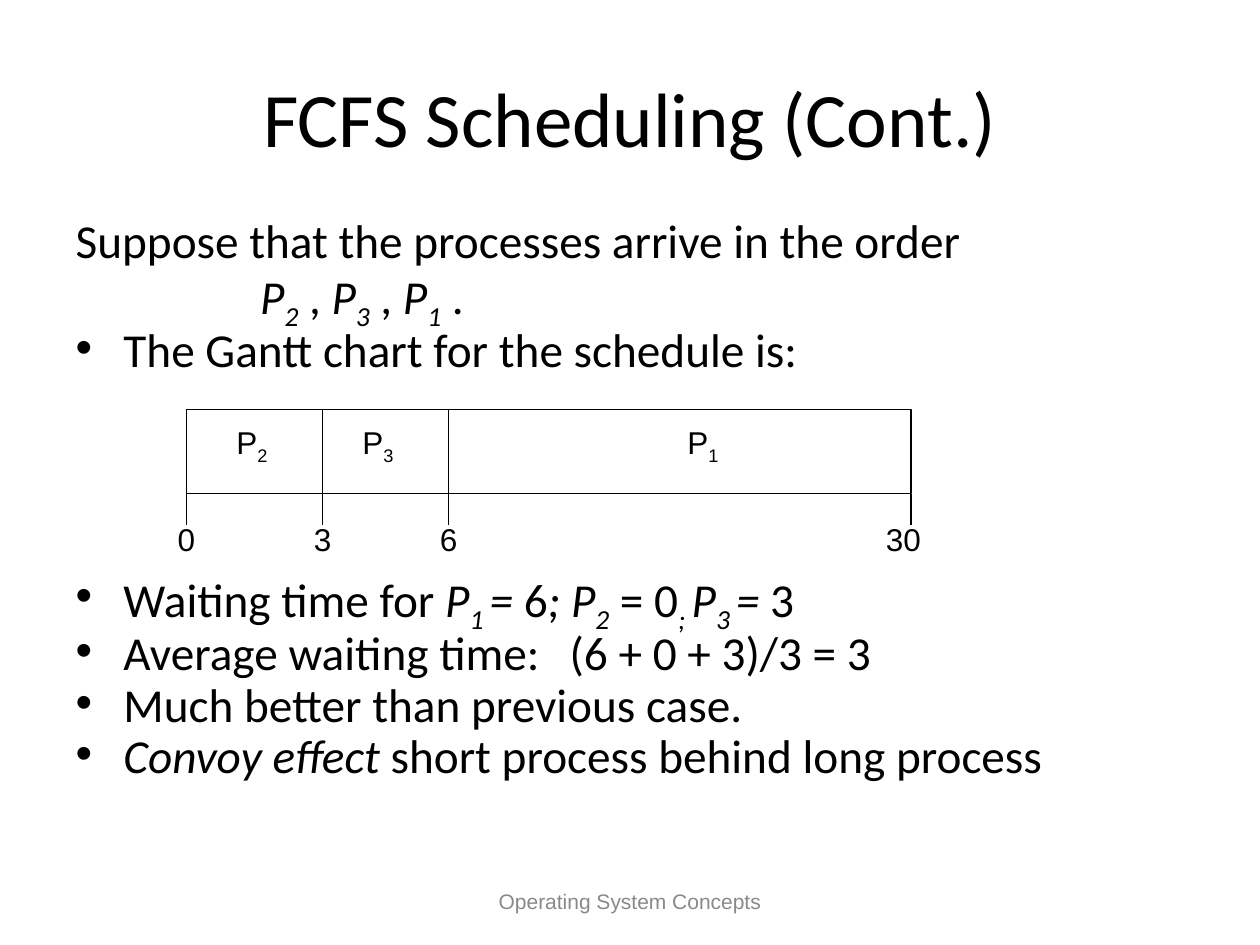
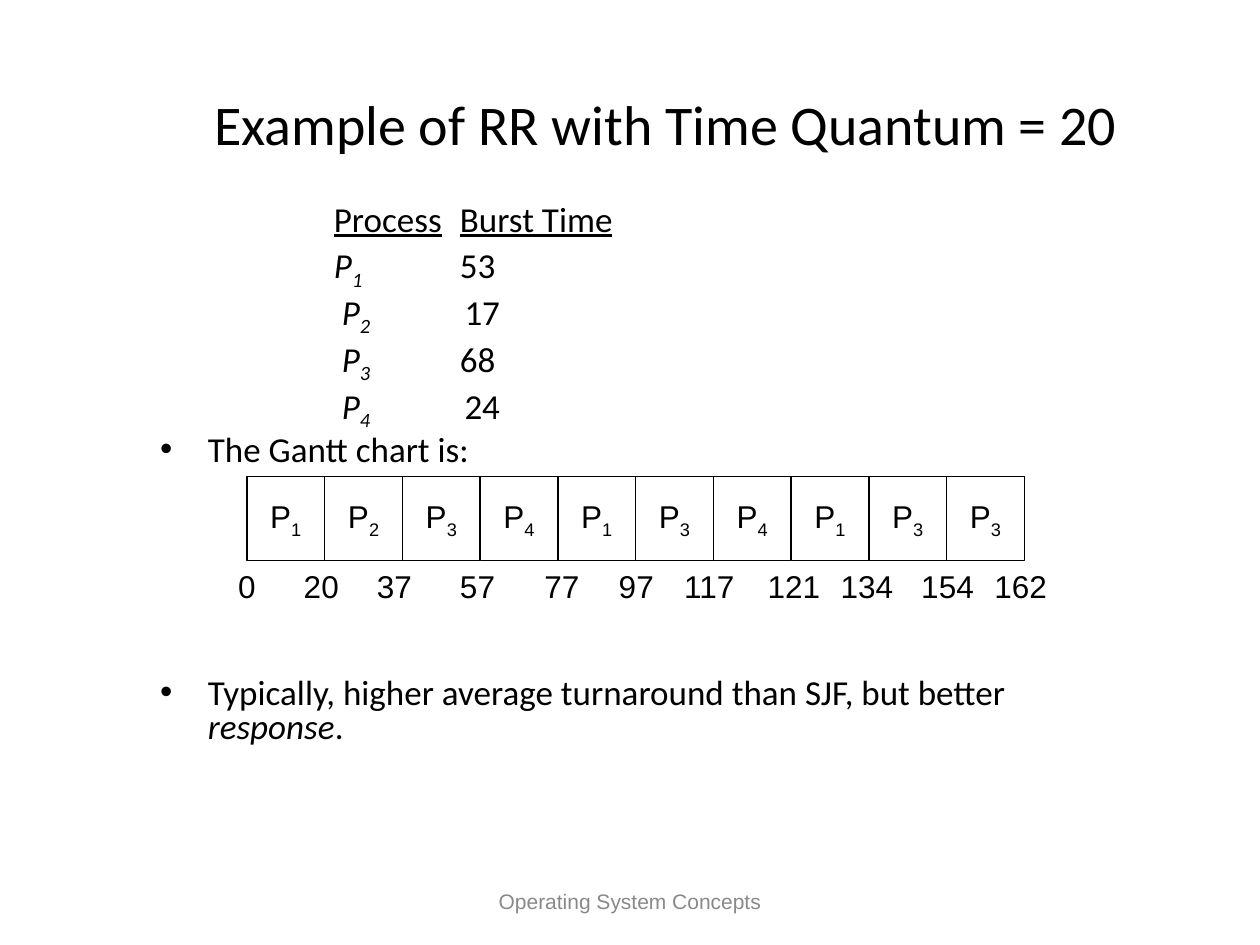
from lxml import etree
from pptx import Presentation
from pptx.dml.color import RGBColor
from pptx.enum import shapes, text
from pptx.oxml import ns
from pptx.util import Inches, Pt

COLORS = {"ink": "000000", "paper": "FFFFFF", "footer": "898989"}
HEAD_FONT, LABEL_FONT = "Calibri", "Arial"
FOOTER = "Operating System Concepts"
INDENT = 0.38
COLUMN_TAB = 1
BAR_HEIGHT = 0.67

# Runs are plain strings or (text, style): i italic, s subscript, u underlined.
# Paragraphs are (bulleted, space before, tab step, runs).
FCFS = {
    "title": "FCFS Scheduling (Cont.)",
    "title_at": (0.5, 0.3, 9, 1.25),
    "title_size": 44,
    "body_at": (0.5, 1.75, 9, 4.95),
    "body_size": 27,
    "spacing": 0.7,
    "body": [
        (False, 0, COLUMN_TAB,
         ["Suppose that the processes arrive in the order"]),
        (False, 6.8, COLUMN_TAB, [
            "\t\t ", ("P", "i"), ("2", "is"), " , ", ("P", "i"), ("3", "is"),
            " , ", ("P", "i"), ("1", "is"), " ."]),
        (True, 6.8, COLUMN_TAB, ["The Gantt chart for the schedule is:"]),
        (True, 118, COLUMN_TAB, [
            "Waiting time for ", ("P", "i"), ("1 ", "is"), ("=", "i"), " 6",
            ("; P", "i"), ("2", "is"), " = 0", ("; ", "is"), ("P", "i"),
            ("3 ", "is"), ("= ", "i"), "3"]),
        (True, 6.8, 0.49, ["Average waiting time:\t(6 + 0 + 3)/3 = 3"]),
        (True, 6.8, COLUMN_TAB, ["Much better than previous case."]),
        (True, 6.8, COLUMN_TAB, [("Convoy effect", "i"),
                                 " short process behind long process"]),
    ],
}
FCFS_BAR_TOP = 3.25
FCFS_EDGES = [(1.48, "0"), (2.56, "3"), (3.56, "6"), (7.23, "30")]
FCFS_PROCESSES = [(2.0, "2"), (3.0, "3"), (5.58, "1")]
LAST_TIME_SHIFT = 0.06
TICK = 0.25

RR = {
    "title": "Example of RR with Time Quantum = 20",
    "title_at": (0.88, 0.52, 8.81, 0.92),
    "title_size": 32,
    "body_at": (1.17, 1.58, 7.69, 4.5),
    "body_size": 20,
    "spacing": 0.8,
    "body": [
        (False, 0, COLUMN_TAB, ["\t\t", ("Process", "u"), "\t",
                                ("Burst Time", "u")]),
        (False, 5, COLUMN_TAB, [("\t\tP", "i"), ("1\t", "is"), "53"]),
        (False, 5, COLUMN_TAB, ["\t\t ", ("P", "i"), ("2\t ", "is"), "17"]),
        (False, 5, COLUMN_TAB, ["\t\t ", ("P", "i"), ("3\t", "is"), "68"]),
        (False, 5, COLUMN_TAB, ["\t\t ", ("P", "i"), ("4\t ", "is"), "24"]),
        (True, 5, COLUMN_TAB, ["The Gantt chart is:"]),
        (True, 120, COLUMN_TAB, [
            "Typically, higher average turnaround than SJF, but better ",
            ("response", "i"), "."]),
    ],
}
RR_BAR = (1.96, 3.78, 6.17)
RR_PROCESSES = "1234134133"
RR_TIMES = [(1.96, "0"), (2.55, "20"), (3.13, "37"), (3.79, "57"),
            (4.46, "77"), (5.05, "97"), (5.63, "117"), (6.3, "121"),
            (6.88, "134"), (7.52, "154"), (8.1, "162")]


def rgb(name):
    return RGBColor.from_string(COLORS[name])


def box(left, top, width, height):
    return [Inches(v) for v in (left, top, width, height)]


def place(sp, at):
    sp.left, sp.top, sp.width, sp.height = box(*at)


def add_runs(p, runs, size, font, color="ink"):
    for item in runs:
        words, style = (item, "") if isinstance(item, str) else item
        r = p.add_run()
        r.text = words
        r.font.size, r.font.name = Pt(size), font
        r.font.color.rgb = rgb(color)
        if "i" in style:
            r.font.italic = True
        if "u" in style:
            r.font.underline = True
        if "s" in style:
            r.font._element.set("baseline", "-25000")


def format_paragraph(p, bulleted, tab_step):
    pPr = p._p.get_or_add_pPr()
    pPr.set("marL", str(Inches(INDENT)))
    pPr.set("indent", str(Inches(-INDENT)))
    pPr.set("defTabSz", str(Inches(tab_step)))
    if bulleted:
        etree.SubElement(pPr, ns.qn("a:buFont")).set("typeface", LABEL_FONT)
        etree.SubElement(pPr, ns.qn("a:buChar")).set("char", "•")
    else:
        etree.SubElement(pPr, ns.qn("a:buNone"))


def center_text(sp, runs, size=18, color="ink"):
    tf = sp.text_frame
    tf.word_wrap = False
    tf.vertical_anchor = text.MSO_ANCHOR.MIDDLE
    p = tf.paragraphs[0]
    p.alignment = text.PP_ALIGN.CENTER
    add_runs(p, runs, size, LABEL_FONT, color)


def add_label(s, center, top, runs, width=0.8, height=0.4, **look):
    sp = s.shapes.add_textbox(*box(center - width / 2, top, width, height))
    center_text(sp, runs, **look)


def add_bar(s, left, top, width):
    sp = s.shapes.add_shape(shapes.MSO_SHAPE.RECTANGLE,
                            *box(left, top, width, BAR_HEIGHT))
    sp.shadow.inherit = False
    sp.fill.solid()
    sp.fill.fore_color.rgb = rgb("paper")
    sp.line.color.rgb = rgb("ink")
    sp.line.width = Pt(0.75)
    return sp


def add_vertical(s, x, top, bottom):
    line = s.shapes.add_connector(shapes.MSO_CONNECTOR.STRAIGHT,
                                  *box(x, top, x, bottom))
    line.line.color.rgb = rgb("ink")
    line.line.width = Pt(0.75)
    etree.SubElement(line._element.spPr, ns.qn("a:effectLst"))


def process(number):
    return ["P", (number, "s")]


def add_slide(prs, content):
    s = prs.slides.add_slide(prs.slide_layouts[1])
    title, body = s.shapes.title, s.placeholders[1]
    place(title, content["title_at"])
    tf = title.text_frame
    tf.auto_size = text.MSO_AUTO_SIZE.NONE
    tf.vertical_anchor = text.MSO_ANCHOR.MIDDLE
    tf.paragraphs[0].alignment = text.PP_ALIGN.CENTER
    add_runs(tf.paragraphs[0], [content["title"]], content["title_size"],
             HEAD_FONT)

    place(body, content["body_at"])
    tf = body.text_frame
    tf.auto_size = text.MSO_AUTO_SIZE.NONE
    for i, (bulleted, before, tab_step, runs) in enumerate(content["body"]):
        p = tf.add_paragraph() if i else tf.paragraphs[0]
        format_paragraph(p, bulleted, tab_step)
        p.line_spacing = content["spacing"]
        p.space_before = Pt(before)
        add_runs(p, runs, content["body_size"], HEAD_FONT)

    add_label(s, 5, 6.95, [FOOTER], width=3.17, size=12, color="footer")
    return s


def draw_fcfs_chart(s):
    left, right = FCFS_EDGES[0][0], FCFS_EDGES[-1][0]
    bottom = FCFS_BAR_TOP + BAR_HEIGHT
    add_bar(s, left, FCFS_BAR_TOP, right - left)
    for x, number in FCFS_PROCESSES:
        add_label(s, x, 3.31, process(number), height=0.44)
    for x, time in FCFS_EDGES:
        if left < x < right:
            add_vertical(s, x, FCFS_BAR_TOP, bottom)
        add_vertical(s, x, bottom, bottom + TICK)
        shift = LAST_TIME_SHIFT if x == right else 0
        add_label(s, x - shift, 4.08, [time])


def draw_rr_chart(s):
    left, top, width = RR_BAR
    step = width / len(RR_PROCESSES)
    for i, number in enumerate(RR_PROCESSES):
        center_text(add_bar(s, left + i * step, top, step), process(number))
    for x, time in RR_TIMES:
        add_label(s, x, top + BAR_HEIGHT, [time])


def main():
    prs = Presentation()
    prs.slide_width, prs.slide_height = Inches(10), Inches(7.5)
    draw_fcfs_chart(add_slide(prs, FCFS))
    draw_rr_chart(add_slide(prs, RR))
    prs.save("out.pptx")


if __name__ == "__main__":
    main()
